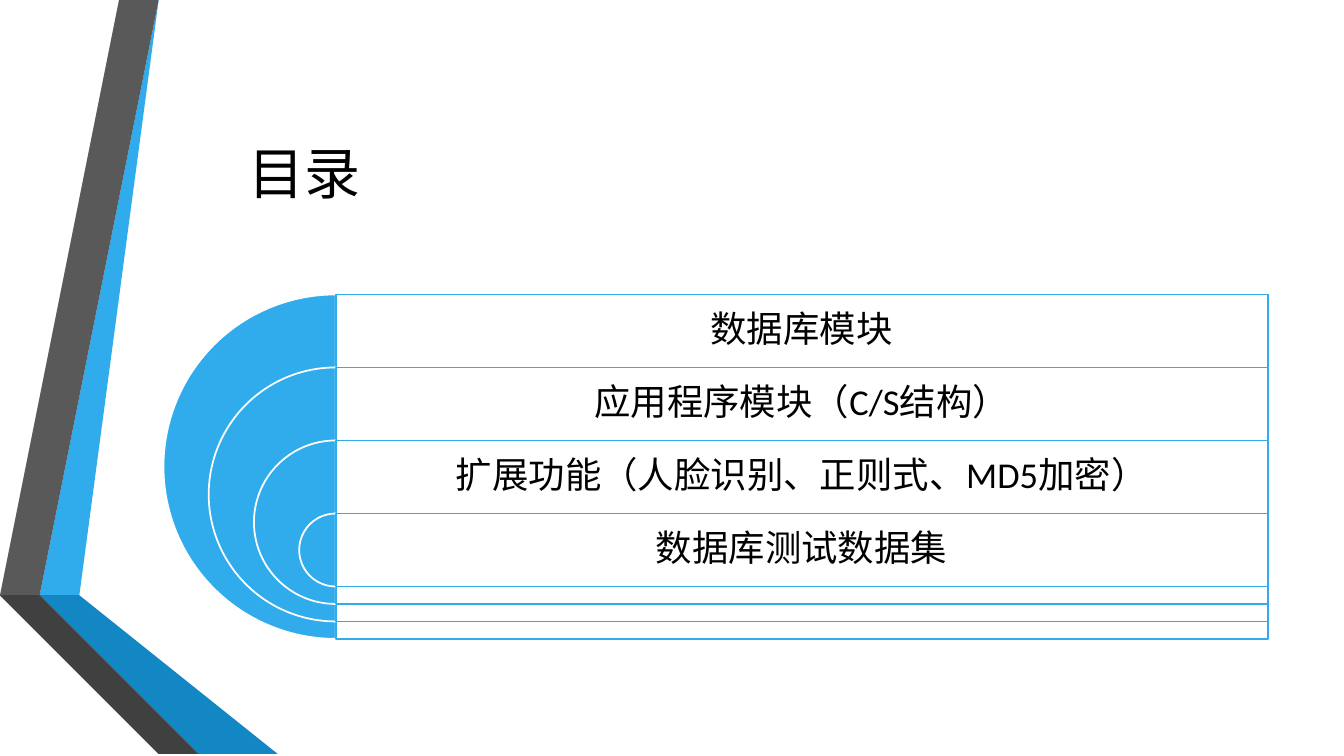
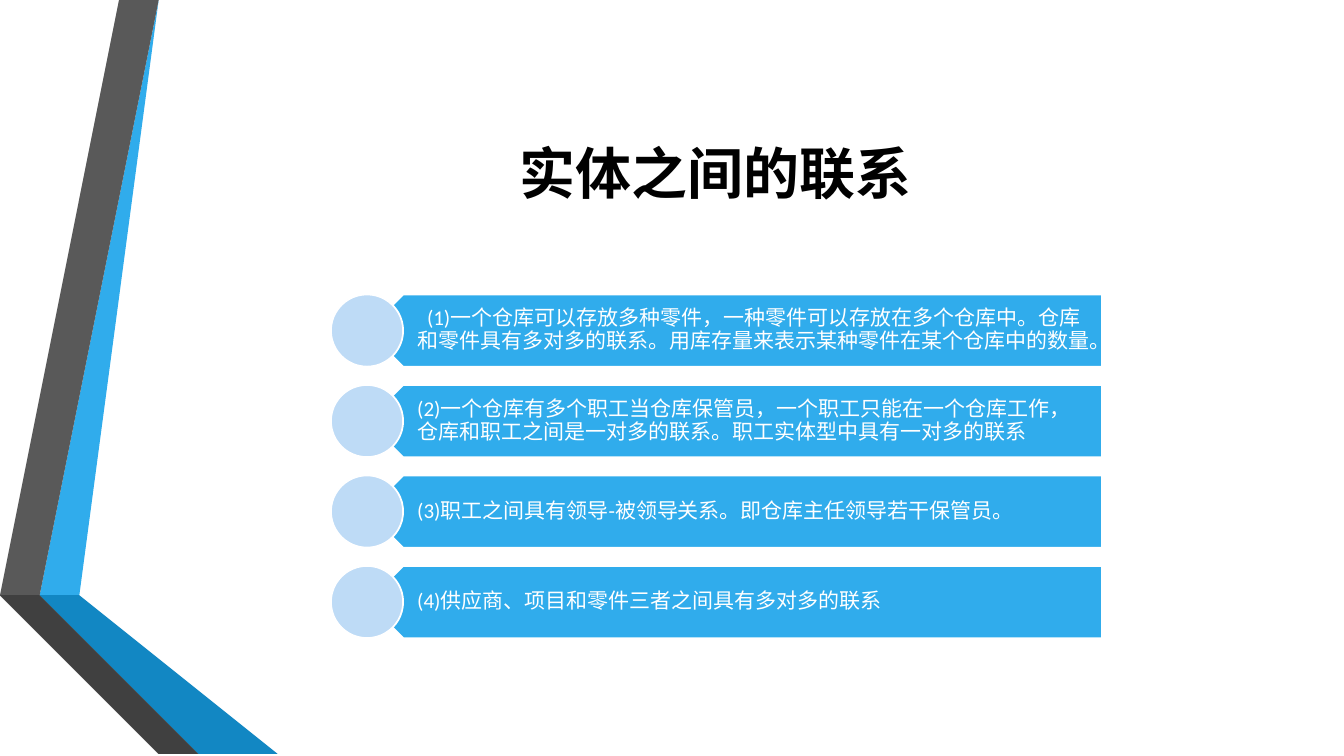
from dataclasses import dataclass

from lxml import etree
from pptx import Presentation
from pptx import util as u
from pptx.dml.color import RGBColor
from pptx.enum import lang, shapes, text
from pptx.oxml.ns import qn


@dataclass(frozen=True)
class Theme:
    font: str = "Calibri"
    blue: str = "30ACEC"
    blue_dark: str = "1287C3"
    blue_edge: str = "0C5A82"
    blue_pale: str = "BEDBF6"
    grey: str = "595959"
    grey_dark: str = "404040"
    grey_edge: str = "262626"
    white: str = "FFFFFF"
    black: str = "000000"
    title_size: float = 40
    agenda_size: float = 26
    item_size: float = 15
    line_width: float = 1.25


T = Theme()
SHAPE = shapes.MSO_SHAPE
ALIGN = text.PP_ALIGN
WIDTH, HEIGHT = 33.87, 19.05
CONTENT_TOP = 7.42

# Ribbon outlines in centimetres, from back to front
RIBBON = [
    (T.blue, [(1.27, 14.68), (1.96, 14.81), (4.39, 0), (3.69, 0)]),
    (T.grey, [(3.53, 0), (2.82, 0), (0.41, 14.55), (1.12, 14.66)]),
    (T.grey_edge, [(0.41, 14.55), (3.68, HEIGHT), (3.84, HEIGHT)]),
    (T.blue_edge, [(1.27, 14.71), (5.28, HEIGHT), (5.44, HEIGHT)]),
    (T.blue_dark, [(1.27, 14.68), (5.44, HEIGHT), (7.19, HEIGHT), (1.96, 14.81)]),
    (T.grey_dark, [(5.13, HEIGHT), (1.22, 14.81), (1.12, 14.66), (0.41, 14.55),
                   (3.84, HEIGHT)]),
]

AGENDA = [
    "数据库模块",
    "应用程序模块（C/S结构）",
    "扩展功能（人脸识别、正则式、MD5加密）",
    "数据库测试数据集",
]

RELATIONS = [
    "(1)一个仓库可以存放多种零件，一种零件可以存放在多个仓库中。仓库和零件具有多对多的联系。"
    "用库存量来表示某种零件在某个仓库中的数量。",
    "(2)一个仓库有多个职工当仓库保管员，一个职工只能在一个仓库工作，"
    "仓库和职工之间是一对多的联系。职工实体型中具有一对多的联系",
    "(3)职工之间具有领导-被领导关系。即仓库主任领导若干保管员。",
    "(4)供应商、项目和零件三者之间具有多对多的联系",
]


def paint(sp, fill, line=None, opacity=100):
    sp.shadow.inherit = False
    sp.fill.solid()
    sp.fill.fore_color.rgb = RGBColor.from_string(fill)
    if opacity < 100:
        color = sp._element.spPr.find(qn("a:solidFill"))[0]
        etree.SubElement(color, qn("a:alpha"), val=str(opacity * 1000))
    if line:
        sp.line.color.rgb = RGBColor.from_string(line)
        sp.line.width = u.Pt(T.line_width)
    else:
        sp.line.fill.background()


def add_box(s, kind, left, top, width, height, **style):
    sp = s.shapes.add_shape(kind, *map(u.Cm, (left, top, width, height)))
    paint(sp, **style)
    return sp


def add_text(s, content, left, top, width, height, *, size, color=T.black,
             bold=False, align=ALIGN.LEFT, spacing=0.9,
             insets=(0.25, 0.13, 0.25, 0.13)):
    """Insets run left, top, right, bottom, in centimetres."""
    sp = s.shapes.add_textbox(*map(u.Cm, (left, top, width, height)))
    tf = sp.text_frame
    tf.word_wrap = True
    tf.vertical_anchor = text.MSO_ANCHOR.MIDDLE
    tf.margin_left, tf.margin_top, tf.margin_right, tf.margin_bottom = map(u.Cm, insets)
    p = tf.paragraphs[0]
    p.alignment = align
    p.line_spacing = spacing
    r = p.add_run()
    r.text = content
    r.font.name = T.font
    r.font.size = u.Pt(size)
    r.font.bold = bold
    r.font.color.rgb = RGBColor.from_string(color)
    r.font.language_id = lang.MSO_LANGUAGE_ID.SIMPLIFIED_CHINESE


def add_ribbon(s):
    for color, points in RIBBON:
        outline = s.shapes.build_freeform(*points[0], scale=u.Cm(1))
        outline.add_line_segments(points[1:], close=True)
        paint(outline.convert_to_shape(), color)


def add_titled_slide(prs, title, indent=0, **style):
    s = prs.slides.add_slide(prs.slide_layouts[6])
    add_ribbon(s)
    add_text(s, title, 4.11, 1.9, 27.84, 4.88, size=T.title_size, spacing=1.0,
             insets=(0.25 + indent, 0.13, 0.25, 0.13), **style)
    return s


def add_nested_agenda(s, items):
    """Half discs shrink inside one another, each with its row on the right."""
    axis, width, row, shrink = 8.46, 23.49, 1.84, 2.28
    for i, item in enumerate(items):
        top = CONTENT_TOP + i * row
        size = row + (len(items) - 1 - i) * shrink
        pie = add_box(s, SHAPE.PIE, axis - size / 2, top, size, size,
                      fill=T.blue, line=T.white)
        pie.adjustments[0], pie.adjustments[1] = 54, 162  # 90 to 270 degrees
        add_box(s, SHAPE.RECTANGLE, axis, top, width, size,
                fill=T.white, line=T.blue, opacity=90)
        add_text(s, item, axis, top, width, row, size=T.agenda_size,
                 align=ALIGN.CENTER, insets=(0.28,) * 4)


def add_relation(s, content, top, align):
    left, width, height = 9.25, 18.52, 1.82
    plate = add_box(s, SHAPE.PENTAGON, left, top, width, height,
                    fill=T.blue, line=T.white)
    plate.rotation = 180
    tip = height / 4
    add_text(s, content, left + tip, top, width - tip, height, size=T.item_size,
             color=T.white, align=align, insets=(0.81, 0.15, 0.3, 0.15))
    add_box(s, SHAPE.OVAL, left - height / 2, top, height, height,
            fill=T.blue_pale, line=T.white)


def main():
    prs = Presentation()
    prs.slide_width, prs.slide_height = u.Cm(WIDTH), u.Cm(HEIGHT)

    s = add_titled_slide(prs, "目录", indent=1.9)
    add_nested_agenda(s, AGENDA)

    s = add_titled_slide(prs, "实体之间的联系", bold=True, align=ALIGN.CENTER)
    for i, content in enumerate(RELATIONS):
        add_relation(s, content, CONTENT_TOP + i * 2.28,
                     ALIGN.LEFT if i else ALIGN.CENTER)

    prs.save("out.pptx")


if __name__ == "__main__":
    main()
